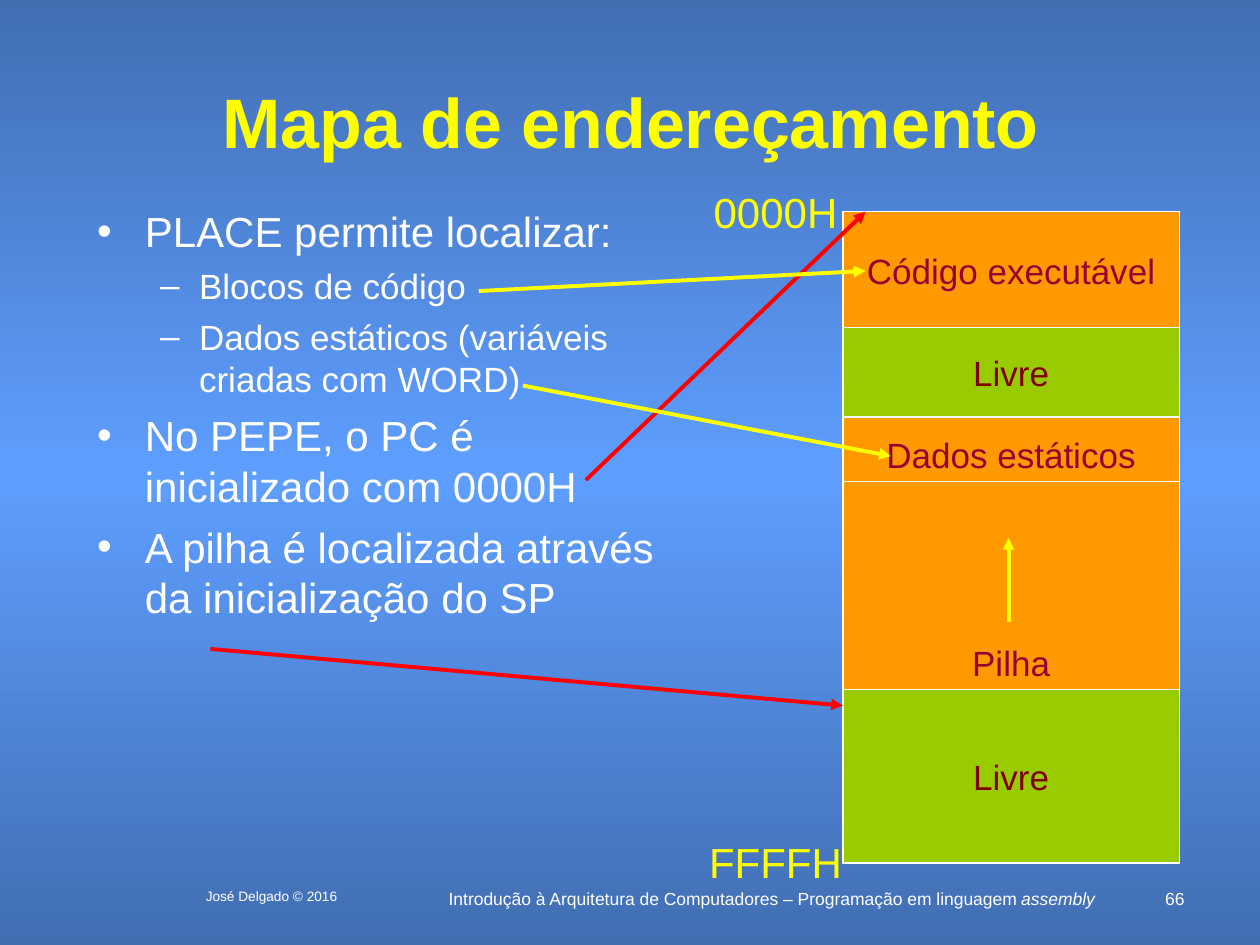
from copy import deepcopy

from pptx import Presentation
from pptx.dml.color import RGBColor
from pptx.enum.shapes import MSO_CONNECTOR, MSO_SHAPE
from pptx.enum.text import MSO_ANCHOR, MSO_AUTO_SIZE, PP_ALIGN
from pptx.oxml.ns import qn
from pptx.util import Inches, Pt
from lxml.etree import SubElement

FONT = "Arial"
WHITE, YELLOW, RED = "FFFFFF", "FFFF00", "FF0000"
ORANGE, GREEN = "FF9900", "99CC00"
WINE, MAROON = "990033", "800000"

# text, level
BULLETS = [
    ("PLACE permite localizar:", 0),
    ("Blocos de código", 1),
    ("Dados estáticos (variáveis criadas com WORD)", 1),
    ("No PEPE, o PC é inicializado com 0000H", 0),
    ("A pilha é localizada através da inicialização do SP", 0),
]
# character, left margin, hanging indent, space before, size
LEVELS = [("•", 0.38, 0.38, 6, 24), ("–", 0.81, 0.31, 5, 20)]

# start, end, colour
POINTERS = [
    ((1.67, 5.15), (6.69, 5.6), RED),
    ((4.65, 3.81), (6.87, 1.68), RED),
    ((3.8, 2.31), (6.87, 2.15), YELLOW),
    ((4.15, 3.06), (7.07, 3.62), YELLOW),
]


def rgb(value):
    return RGBColor.from_string(value)


def place(shape, box):
    shape.left, shape.top, shape.width, shape.height = map(Inches, box)


def add_run(paragraph, text, size, colour, bold=False, italic=False):
    run = paragraph.add_run()
    run.text = text
    font = run.font
    font.name, font.size, font.bold, font.italic = FONT, Pt(size), bold, italic
    font.color.rgb = rgb(colour)


def add_text(shapes, box, text, size, colour, align=PP_ALIGN.CENTER):
    """Add a one-line text box and return its paragraph."""
    frame = shapes.add_textbox(*map(Inches, box)).text_frame
    frame.word_wrap = False
    paragraph = frame.paragraphs[0]
    paragraph.alignment = align
    add_run(paragraph, text, size, colour)
    return paragraph


def add_line(shapes, start, end, colour, width, arrow=False):
    line = shapes.add_connector(MSO_CONNECTOR.STRAIGHT, *map(Inches, start + end))
    line.line.color.rgb = rgb(colour)
    line.line.width = Pt(width)
    if arrow:
        SubElement(line.line._get_or_add_ln(), qn("a:tailEnd"), type="triangle")
    SubElement(line._element.spPr, qn("a:effectLst"))


def add_block(shapes, box, fill, text=None):
    """Add one region of the memory map, with an optional centred label."""
    block = shapes.add_shape(MSO_SHAPE.RECTANGLE, *map(Inches, box))
    block.shadow.inherit = False
    block.fill.solid()
    block.fill.fore_color.rgb = rgb(fill)
    block.line.color.rgb = rgb(WHITE)
    block.line.width = Pt(0.75)
    if text:
        frame = block.text_frame
        frame.word_wrap = False
        frame.vertical_anchor = MSO_ANCHOR.MIDDLE
        frame.paragraphs[0].alignment = PP_ALIGN.CENTER
        add_run(frame.paragraphs[0], text, 20, MAROON)


def fill_background(slide):
    fill = slide.background.fill
    fill.gradient()
    fill.gradient_angle = 90
    stop_list = slide.element.find(".//" + qn("a:gsLst"))
    stop_list.append(deepcopy(stop_list[0]))
    colours = ("426EB2", "5E9EFF", "426EB2")
    for stop, position, colour in zip(fill.gradient_stops, (0, 0.5, 1), colours):
        stop.position = position
        stop.color.rgb = rgb(colour)


def fill_title(title, box):
    place(title, box)
    frame = title.text_frame
    frame.auto_size = MSO_AUTO_SIZE.NONE
    frame.vertical_anchor = MSO_ANCHOR.MIDDLE
    frame.paragraphs[0].alignment = PP_ALIGN.CENTER
    add_run(frame.paragraphs[0], "Mapa de endereçamento", 40, YELLOW, bold=True)


def fill_body(body, box):
    place(body, box)
    frame = body.text_frame
    frame.auto_size = MSO_AUTO_SIZE.NONE
    for index, (text, level) in enumerate(BULLETS):
        paragraph = frame.add_paragraph() if index else frame.paragraphs[0]
        character, margin, hanging, space, size = LEVELS[level]
        paragraph.level = level
        paragraph.space_before = Pt(space if index else 0)
        properties = paragraph._p.get_or_add_pPr()
        properties.set("marL", str(Inches(margin)))
        properties.set("indent", str(-Inches(hanging)))
        bullet_colour = SubElement(properties, qn("a:buClr"))
        SubElement(bullet_colour, qn("a:srgbClr"), val=WHITE)
        SubElement(properties, qn("a:buFont"), typeface=FONT)
        SubElement(properties, qn("a:buChar"), char=character)
        add_run(paragraph, text, size, WHITE)


def add_memory_map(slide, box):
    left, top, width, height = box
    bottom = top + height
    shapes = slide.shapes.add_group_shape().shapes
    add_block(shapes, box, ORANGE)
    for text, offset in (("Código executável", 0.25),
                         ("Dados estáticos", 1.71),
                         ("Pilha", 3.36)):
        add_text(shapes, (left, top + offset, width, 0.44), text, 20, WINE)
    middle = left + width / 2 - 0.02
    add_line(shapes, (middle, top + 3.26), (middle, top + 2.59), YELLOW, 2.25, True)
    divider = top + 2.14
    add_line(shapes, (left, divider), (left + width, divider), WHITE, 0.75)
    for offset, block_height in ((3.79, 1.38), (0.92, 0.71)):
        add_block(shapes, (left, top + offset, width, block_height), GREEN, "Livre")

    for text, label_top in (("0000H", top - 0.25), ("FFFFH", bottom - 0.26)):
        add_text(slide.shapes, (left - 1.24, label_top, 1.41, 0.5), text, 24, YELLOW)


def add_footer(slide, top):
    shapes = slide.shapes
    course = add_text(
        shapes, (3.45, top, 5.35, 0.25),
        "Introdução à Arquitetura de Computadores – Programação em linguagem ",
        10, WHITE)
    add_run(course, "assembly", 10, WHITE, italic=True)
    add_text(shapes, (9.08, top, 0.42, 0.25), "66", 10, WHITE, PP_ALIGN.RIGHT)
    add_text(shapes, (1.32, top, 1.67, 0.25), "José Delgado © 2016", 7.8, WHITE)


def main():
    presentation = Presentation()
    presentation.slide_width, presentation.slide_height = Inches(10), Inches(7.5)
    slide = presentation.slides.add_slide(presentation.slide_layouts[1])
    fill_background(slide)
    add_footer(slide, 7)
    fill_title(slide.shapes.title, (0.67, 0.58, 8.67, 0.75))
    fill_body(slide.placeholders[1], (0.67, 1.58, 4.62, 5.08))
    add_memory_map(slide, (6.69, 1.68, 2.67, 5.17))
    for start, end, colour in POINTERS:
        add_line(slide.shapes, start, end, colour, 2.25, arrow=True)
    presentation.save("out.pptx")


if __name__ == "__main__":
    main()
